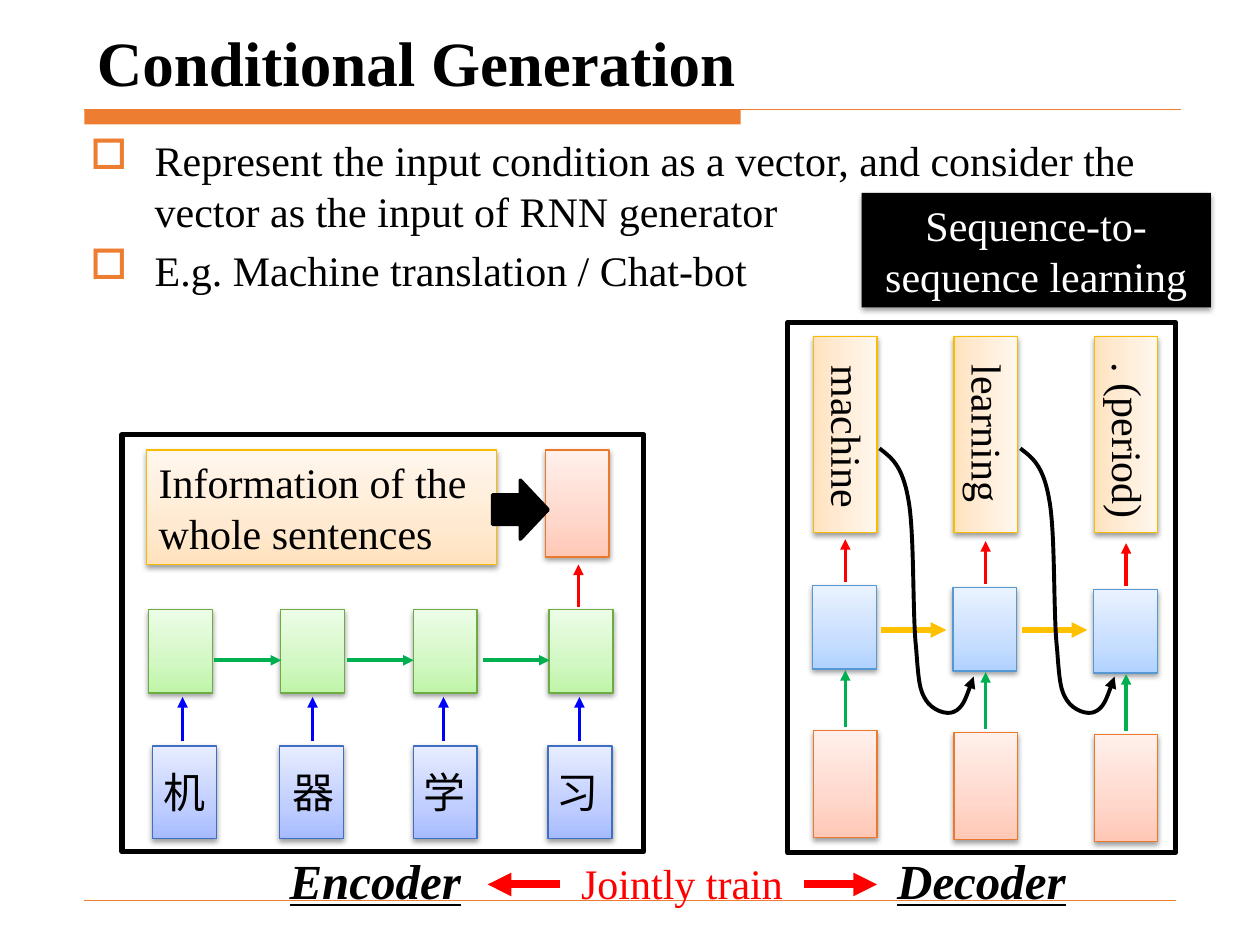
from lxml.etree import SubElement
from copy import deepcopy
from pptx import Presentation
from pptx.dml.color import RGBColor
from pptx.enum.shapes import MSO_CONNECTOR as LINE, MSO_SHAPE as SHAPE
from pptx.enum.text import MSO_ANCHOR as ANCHOR, PP_ALIGN as ALIGN
from pptx.oxml.ns import qn
from pptx.util import Cm, Pt

rgb = RGBColor.from_string
FONT = "Times New Roman"
ORANGE, RED, GREEN_LINE = "ED7D31", "FF0000", "00B050"

# Each palette: gradient from bottom to top, then outline
GREEN = ("BEF5A7", "D1F7C2", "EDFDE7", "6DAC43")
INDIGO = ("A6BBFF", "C0CEFF", "E7ECFF", "3F6FC3")
BLUE = ("B0D2FF", "C7DEFF", "EAF2FF", "5698D3")
PINK = ("FFC7B6", "FFD7CB", "FFF0EB", "EC792B")
GOLD = ("FFE2BD", "FFEAD1", "FFF7EE", "F9BC00")

prs = Presentation()
prs.slide_width, prs.slide_height = Cm(25.4), Cm(19.05)
slide = prs.slides.add_slide(prs.slide_layouts[5])
shapes = slide.shapes


def add_box(x, y, w, h, palette=None, text="", size=24, color="000000",
            align=ALIGN.CENTER, strong=False, turn=0):
    """Shadowed box filled with a palette or one colour; a text box without either."""
    area = Cm(x), Cm(y), Cm(w), Cm(h)
    if palette is None:
        box = shapes.add_textbox(*area)
    else:
        box = shapes.add_shape(SHAPE.RECTANGLE, *area)
        if isinstance(palette, str):
            box.fill.solid()
            box.fill.fore_color.rgb = rgb(palette)
            box.line.fill.background()
        else:
            box.fill.gradient()
            box.fill.gradient_angle = 90
            stops = box._element.spPr.find(qn("a:gradFill")).find(qn("a:gsLst"))
            stops.insert(1, deepcopy(stops[0]))
            for stop, place, tint in zip(box.fill.gradient_stops, (0, 0.35, 1), palette):
                stop.position = place
                stop.color.rgb = rgb(tint)
            box.line.color.rgb = rgb(palette[3])
            box.line.width = Pt(0.75)
        box.shadow.inherit = False
        effects = box._element.spPr.find(qn("a:effectLst"))
        shadow = SubElement(effects, qn("a:outerShdw"), blurRad="40000", dist="20000",
                            dir="5400000", rotWithShape="0")
        black = SubElement(shadow, qn("a:srgbClr"), val="000000")
        SubElement(black, qn("a:alpha"), val="38000")
    box.rotation = turn
    if text:
        box.text_frame.word_wrap = True
        paragraph = box.text_frame.paragraphs[0]
        paragraph.alignment = align
        run = paragraph.add_run()
        run.text = text
        font = run.font
        font.name, font.size, font.color.rgb = FONT, Pt(size), rgb(color)
        if strong:
            font.bold = font.italic = font.underline = True


def style_line(item, color, width, arrow=True):
    """Plain coloured stroke without shadow, with an arrowhead at its end."""
    item.line.color.rgb = rgb(color)
    item.line.width = Pt(width)
    properties = item._element.spPr
    if arrow:
        SubElement(properties.find(qn("a:ln")), qn("a:tailEnd"), type="triangle")
    SubElement(properties, qn("a:effectLst"))


# Title
title = shapes.title
title.left, title.top, title.width, title.height = Cm(1.7), Cm(0.53), Cm(22.2), Cm(1.6)
title.text_frame.vertical_anchor = ANCHOR.BOTTOM
heading = title.text_frame.paragraphs[0]
heading.alignment = ALIGN.LEFT
heading_run = heading.add_run()
heading_run.text = "Conditional Generation"
heading_run.font.name, heading_run.font.size = FONT, Pt(36)
heading_run.font.bold = True
heading_run.font.color.rgb = rgb("000000")

# Rules below the title and at the foot
title_bar = shapes.add_shape(SHAPE.RECTANGLE, Cm(1.7), Cm(2.21), Cm(13.23), Cm(0.3))
title_bar.fill.solid()
title_bar.fill.fore_color.rgb = rgb(ORANGE)
title_bar.line.fill.background()
title_bar.shadow.inherit = False
for y, right, width in ((2.21, 23.8, 0.75), (18.14, 23.7, 0.25)):
    rule = shapes.add_connector(LINE.STRAIGHT, Cm(1.7), Cm(y), Cm(right), Cm(y))
    style_line(rule, ORANGE, width, arrow=False)

# Bullet points
points = shapes.add_textbox(Cm(1.57), Cm(2.59), Cm(22.23), Cm(15.34)).text_frame
points.word_wrap = True
for i, text in enumerate((
        "Represent the input condition as a vector, and consider the vector "
        "as the input of RNN generator",
        "E.g. Machine translation / Chat-bot")):
    point = points.add_paragraph() if i else points.paragraphs[0]
    indent = point._p.get_or_add_pPr()
    indent.set("marL", str(Cm(1.3)))
    indent.set("indent", str(-Cm(1.3)))
    SubElement(SubElement(indent, qn("a:buClr")), qn("a:srgbClr"), val=ORANGE)
    SubElement(indent, qn("a:buChar"), char="□")
    if i:
        point.space_before = Pt(5)
    run = point.add_run()
    run.text = text
    run.font.name, run.font.size, run.font.color.rgb = FONT, Pt(24), rgb("000000")

# Encoder: one column per input character; arrows are (x1, y1, x2, y2, colour, width)
arrows = []
for character, state_x, input_x, text_x, arrow_x in (
        ("机", 3, 3.07, 2.84, 3.68), ("器", 5.66, 5.64, 5.44, 6.3),
        ("学", 8.33, 8.33, 8.08, 8.94), ("习", 11.07, 11.05, 10.77, 11.68)):
    add_box(state_x, 12.29, 1.29, 1.68, GREEN)
    add_box(input_x, 15.04, 1.29, 1.87, INDIGO)
    add_box(text_x, 15.32, 1.75, 1.27, text=character)
    arrows.append((arrow_x, 14.94, arrow_x, 14.05, "0000FF", 2))
for x in (4.32, 6.99, 9.73):
    arrows.append((x, 13.31, x + 1.35, 13.31, GREEN_LINE, 2))

# Encoder result
add_box(2.95, 9.07, 7.06, 2.31, GOLD, "Information of the whole sentences", align=ALIGN.LEFT)
add_box(11, 9.07, 1.28, 2.16, PINK)
arrows.append((11.66, 12.24, 11.66, 11.38, RED, 2))
result_arrow = shapes.add_shape(SHAPE.RIGHT_ARROW, Cm(9.93), Cm(9.68), Cm(1.12), Cm(1.19))
result_arrow.fill.solid()
result_arrow.fill.fore_color.rgb = rgb("000000")
style_line(result_arrow, "000000", 2, arrow=False)

# Decoder: one column per output word, each a little lower
for i, (word, word_y) in enumerate((("machine", 8.81), ("learning", 8.74), (". (period)", 8.89))):
    center, drop = 17.04 + 2.83 * i, 0.04 * i
    add_box(center - 1.97, 8.76 - 0.64, 3.94, 1.28, GOLD, turn=90)
    add_box(center - 1.94, word_y - 0.64, 3.99, 1.27, text=word, turn=90)
    add_box(center - 0.66, 11.81 + drop, 1.29, 1.68, BLUE)
    add_box(center - 0.64, 14.73 + drop, 1.28, 2.16, PINK)
    arrows.append((center, 11.73 + drop, center, 10.87 + drop, RED, 2))
    arrows.append((center, 14.66 + drop, center, 13.51 + drop, GREEN_LINE, 2))

# Shared training and the links between decoder states
arrows += [(17.75, 12.7, 19.08, 12.7, "FFC000", 3), (20.6, 12.7, 21.92, 12.7, "FFC000", 3),
           (16.21, 17.83, 17.68, 17.83, RED, 4.5), (11.28, 17.83, 9.83, 17.83, RED, 4.5)]
for x1, y1, x2, y2, color, width in arrows:
    arrow = shapes.add_connector(LINE.STRAIGHT, Cm(x1), Cm(y1), Cm(x2), Cm(y2))
    style_line(arrow, color, width)

# Curves feeding each word to the next state: Bézier points relative to the start
bends = ((0.23, 0.18), (0.46, 0.33), (0.58, 1.02), (0.71, 1.68), (0.66, 3.35),
         (0.74, 4.04), (0.79, 4.72), (0.81, 4.88), (0.94, 5.08), (1.07, 5.28),
         (1.35, 5.38), (1.5, 5.31), (1.68, 5.23), (1.78, 4.93), (1.9, 4.6))
for x in (17.73, 20.57):
    builder = shapes.build_freeform(Cm(x), Cm(9.04))
    builder.add_line_segments([(Cm(x + dx), Cm(9.04 + dy)) for dx, dy in bends], close=False)
    feedback = builder.convert_to_shape()
    outline = next(feedback._element.iter(qn("a:path")))
    steps = outline.findall(qn("a:lnTo"))
    for start in range(0, len(steps), 3):
        curve = SubElement(outline, qn("a:cubicBezTo"))
        for step in steps[start:start + 3]:
            curve.append(step[0])
            outline.remove(step)
    feedback.fill.background()
    style_line(feedback, "000000", 2.25)

# Frames
for x, y, w, h in ((2.46, 8.76, 10.52, 8.41), (15.88, 6.5, 7.82, 10.69)):
    frame = shapes.add_shape(SHAPE.RECTANGLE, Cm(x), Cm(y), Cm(w), Cm(h))
    frame.fill.background()
    style_line(frame, "000000", 3, arrow=False)

# Captions
add_box(11.3, 17.17, 4.9, 1.27, text="Jointly train", color=RED)
for name, x in (("Encoder", 4.72), ("Decoder", 16.94)):
    add_box(x, 17.02, 5.69, 1.45, text=name, size=28, strong=True)
add_box(17.37, 3.89, 7.04, 2.31, "000000", "Sequence-to-sequence learning", color="FFFFFF")

prs.save("out.pptx")
